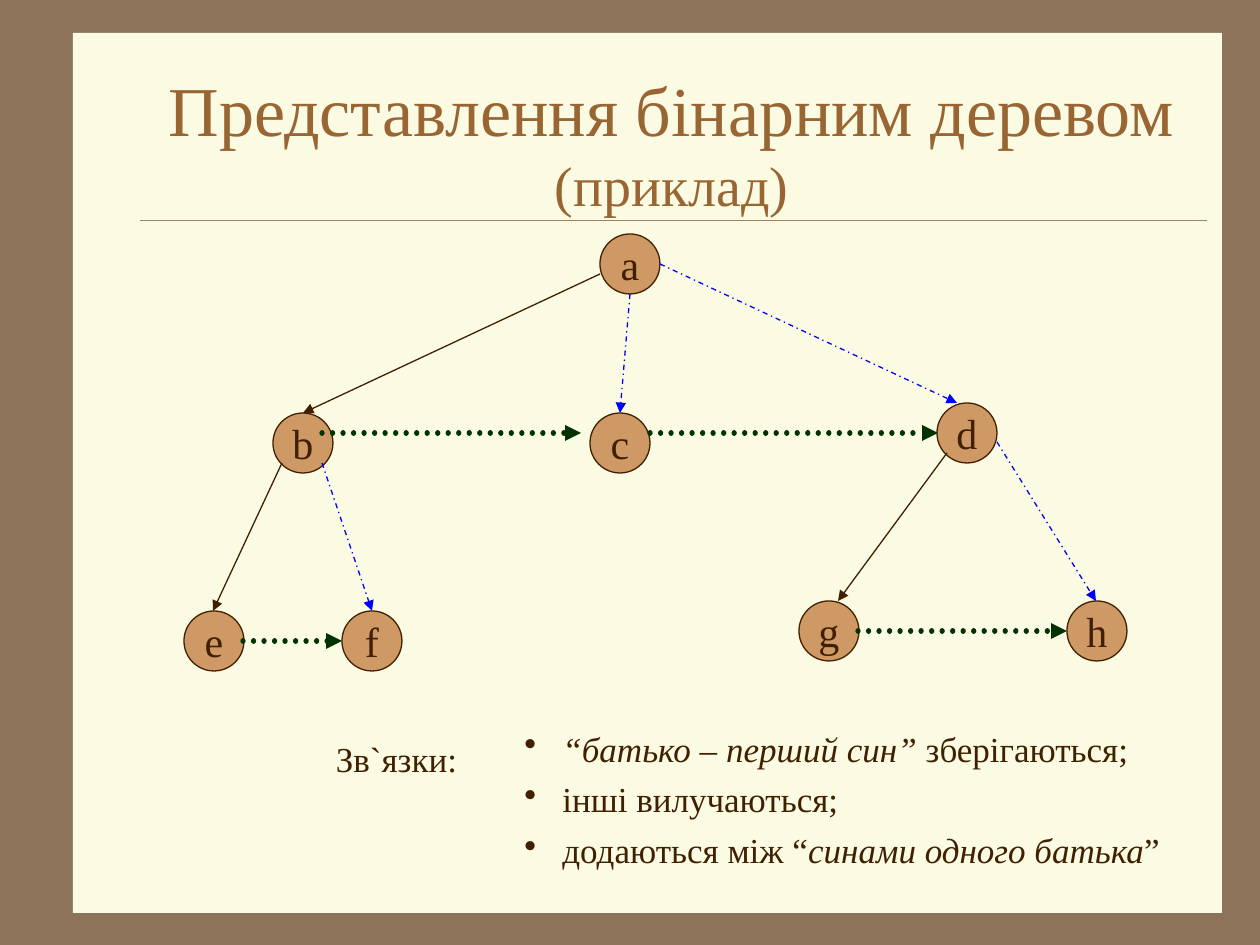
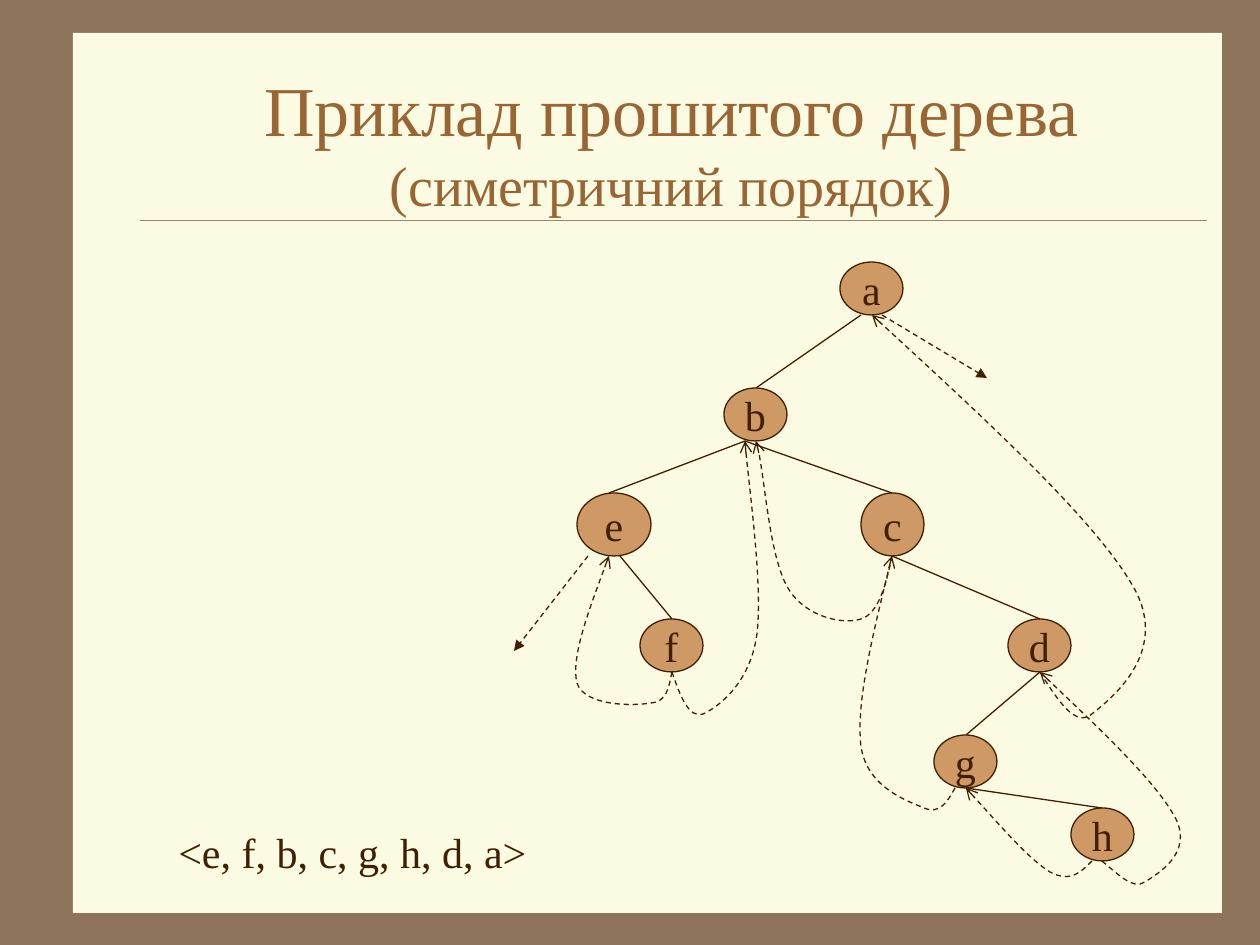
import pptx
import pptx.util
import pptx.dml.color
import pptx.enum.dml
import pptx.enum.shapes
import pptx.enum.text
import pptx.oxml
import pptx.oxml.ns

RGBColor = pptx.dml.color.RGBColor
Shapes = pptx.enum.shapes.MSO_SHAPE
Align = pptx.enum.text.PP_ALIGN
Anchor = pptx.enum.text.MSO_ANCHOR
Dash = pptx.enum.dml.MSO_LINE
qn = pptx.oxml.ns.qn

# Shared look
FRAME = RGBColor(0x8C, 0x73, 0x5A)
PAPER = RGBColor(0xFB, 0xFA, 0xE2)
RULE = RGBColor(0xA0, 0x83, 0x66)
TITLE = RGBColor(0x99, 0x66, 0x33)
INK = RGBColor(0x40, 0x20, 0x00)
NODE = RGBColor(0xCE, 0x99, 0x64)
REMOVED = RGBColor(0x00, 0x00, 0xFF)
SIBLING = RGBColor(0x00, 0x33, 0x00)
FONT = "Times New Roman"
SCALE = 914400 / 126  # EMU per px

# Line styles: colour, width, dash, arrowhead
KEPT_LINK = (INK, 0.75, None, "triangle")
REMOVED_LINK = (REMOVED, 0.75, Dash.DASH_DOT, "triangle")
SIBLING_LINK = (SIBLING, 3, Dash.ROUND_DOT, "triangle")
BRANCH = (INK, 0.75, None, None)
OPEN_THREAD = (INK, 0.75, Dash.DASH, "triangle")
THREAD = (INK, 0.75, Dash.DASH, "arrow")
TITLE_RULE = (RULE, 0.25, None, None)

# Nodes: left, top, width, height; lines: from x, y, to x, y
BINARY = {
    "title": ("Представлення бінарним деревом", "(приклад)"),
    "nodes": {
        "a": (600, 234, 60, 60), "b": (273, 413, 60, 60),
        "c": (590, 413, 60, 60), "d": (937, 403, 60, 60),
        "g": (799, 601, 60, 60), "e": (184, 611, 60, 60),
        "f": (342, 611, 60, 60), "h": (1067, 601, 60, 60),
    },
    "lines": [
        (KEPT_LINK, [(600, 274, 303, 413), (282, 463, 213, 611),
                     (947, 453, 838, 601)]),
        (REMOVED_LINK, [(630, 294, 620, 413), (660, 264, 957, 403),
                        (322, 463, 372, 611), (997, 442, 1096, 601)]),
        (SIBLING_LINK, [(322, 433, 581, 433), (650, 433, 938, 433),
                        (243, 641, 342, 641), (858, 631, 1067, 631)]),
    ],
}
# Each entry is a list of (text, italic) spans
LINK_RULES = [
    [("“батько", True), (" – ", False), ("перший син”", True),
     (" зберігаються;", False)],
    [("інші вилучаються;", False)],
    [("додаються між “", False), ("синами одного батька", True), ("”", False)],
]

THREADED = {
    "title": ("Приклад прошитого дерева", "(симетричний порядок)"),
    "nodes": {
        "a": (840, 262, 63, 53), "b": (724, 388, 63, 53),
        "e": (577, 493, 74, 63), "c": (861, 493, 63, 63),
        "f": (640, 619, 63, 53), "d": (1008, 619, 63, 53),
        "g": (934, 735, 63, 53), "h": (1071, 808, 63, 53),
    },
    "lines": [
        (BRANCH, [(861, 315, 756, 388), (745, 441, 609, 493),
                  (745, 441, 892, 493), (620, 556, 672, 619),
                  (892, 556, 1040, 619), (1040, 672, 966, 735),
                  (966, 788, 1102, 808)]),
        (OPEN_THREAD, [(588, 556, 514, 651), (882, 315, 987, 378)]),
    ],
}
# Start point, then three Bézier points for each curve section
THREADS = [
    [(672, 672), (669, 687), (667, 702), (651, 703), (635, 706), (585, 707),
     (577, 683), (571, 658), (590, 607), (609, 556)],
    [(672, 672), (680, 696), (689, 719), (703, 714), (717, 708), (748, 685),
     (756, 640), (764, 595), (747, 473), (745, 441)],
    [(892, 556), (886, 586), (878, 614), (861, 619), (843, 625), (805, 617),
     (788, 588), (770, 558), (764, 465), (756, 441)],
    [(955, 788), (948, 801), (940, 815), (924, 808), (908, 801), (867, 788),
     (861, 746), (856, 703), (874, 630), (892, 556)],
    [(1040, 672), (1058, 701), (1076, 728), (1092, 714), (1108, 701),
     (1171, 654), (1134, 588), (1097, 522), (984, 418), (872, 315)],
    [(1092, 861), (1081, 872), (1071, 883), (1050, 872), (1029, 859),
     (998, 823), (966, 788)],
    [(1102, 861), (1118, 874), (1133, 890), (1145, 882), (1157, 874),
     (1193, 854), (1176, 819), (1158, 784), (1099, 728), (1040, 672)],
]
ORDER = "<e, f, b, c, g, h, d, a>"


def px(*lengths):
    return [round(length * SCALE) for length in lengths]


def set_font(font, size, color=INK):
    font.name = FONT
    font.size = pptx.util.Pt(size)
    font.color.rgb = color


def style_line(shape, style):
    color, width, dash, head = style
    line = shape.line
    line.color.rgb = color
    line.width = pptx.util.Pt(width)
    if dash:
        line.dash_style = dash
    outline = shape.element.spPr.find(qn("a:ln"))
    if dash == Dash.ROUND_DOT:
        outline.set("cap", "rnd")
    if head:
        outline.append(outline.makeelement(qn("a:tailEnd"), {"type": head}))


def add_line(page, ends, style):
    line = page.shapes.add_connector(
        pptx.enum.shapes.MSO_CONNECTOR.STRAIGHT, *px(*ends))
    style_line(line, style)
    properties = line.element.spPr
    properties.append(properties.makeelement(qn("a:effectLst"), {}))


def add_curve(page, points, style):
    builder = page.shapes.build_freeform(*points[0], scale=SCALE)
    builder.add_line_segments(points[1:], close=False)
    curve = builder.convert_to_shape()
    curve.shadow.inherit = False
    curve.fill.background()
    style_line(curve, style)
    # Turn every three straight segments into one cubic section
    segments = list(curve.element.iter(qn("a:lnTo")))
    for first in range(0, len(segments), 3):
        section = segments[first].makeelement(qn("a:cubicBezTo"), {})
        segments[first].addprevious(section)
        for segment in segments[first:first + 3]:
            section.append(segment[0])
            segment.getparent().remove(segment)


def add_shape(page, kind, place, fill):
    shape = page.shapes.add_shape(kind, *px(*place))
    shape.shadow.inherit = False
    shape.fill.solid()
    shape.fill.fore_color.rgb = fill
    shape.line.fill.background()
    return shape


def add_node(page, name, place):
    node = add_shape(page, Shapes.OVAL, place, NODE)
    style_line(node, BRANCH)
    frame = node.text_frame
    frame.word_wrap = False
    frame.vertical_anchor = Anchor.MIDDLE
    para = frame.paragraphs[0]
    para.text = name
    para.alignment = Align.CENTER
    set_font(para.font, 24)


def add_text_box(page, place):
    box = page.shapes.add_textbox(*px(*place))
    box.text_frame.word_wrap = True
    return box.text_frame


def add_label(page, place, text, size):
    para = add_text_box(page, place).paragraphs[0]
    para.text = text
    para.alignment = Align.CENTER
    set_font(para.font, size)


def add_bullets(page, place, entries):
    frame = add_text_box(page, place)
    for index, spans in enumerate(entries):
        para = frame.add_paragraph() if index else frame.paragraphs[0]
        if index:
            para.space_before = pptx.util.Pt(5)
        indent = px(38)[0]
        properties = para._p.get_or_add_pPr()
        properties.set("marL", str(indent))
        properties.set("indent", str(-indent))
        properties.append(properties.makeelement(qn("a:buChar"), {"char": "•"}))
        set_font(para.font, 20)
        for text, italic in spans:
            span = para.add_run()
            span.text = text
            span.font.italic = italic


def add_title(page, lines):
    frame = add_text_box(page, (136, 63, 1071, 158))
    frame.vertical_anchor = Anchor.MIDDLE
    para = frame.paragraphs[0]
    para.alignment = Align.CENTER
    for index, (text, size) in enumerate(zip(lines, (40, 32))):
        if index:
            para.add_line_break()
        span = para.add_run()
        span.text = text
        set_font(span.font, size, TITLE)


def add_tree_page(deck, content):
    page = deck.slides.add_slide(deck.slide_layouts[6])
    page.background.fill.solid()
    page.background.fill.fore_color.rgb = FRAME
    add_shape(page, Shapes.RECTANGLE, (73, 33, 1149, 880), PAPER)
    add_line(page, (140, 220, 1207, 220), TITLE_RULE)
    add_title(page, content["title"])
    for name, place in content["nodes"].items():
        add_node(page, name, place)
    for style, lines in content["lines"]:
        for ends in lines:
            add_line(page, ends, style)
    return page


def main():
    deck = pptx.Presentation()
    deck.slide_width, deck.slide_height = px(1260, 945)

    # Binary tree and the rules for its links
    page = add_tree_page(deck, BINARY)
    add_bullets(page, (512, 721, 674, 156), LINK_RULES)
    add_label(page, (312, 731, 169, 55), "Зв`язки:", 20)

    # Threaded tree and its traversal order
    page = add_tree_page(deck, THREADED)
    for points in THREADS:
        add_curve(page, points, THREAD)
    add_label(page, (154, 820, 397, 63), ORDER, 24)

    deck.save("out.pptx")


if __name__ == "__main__":
    main()
